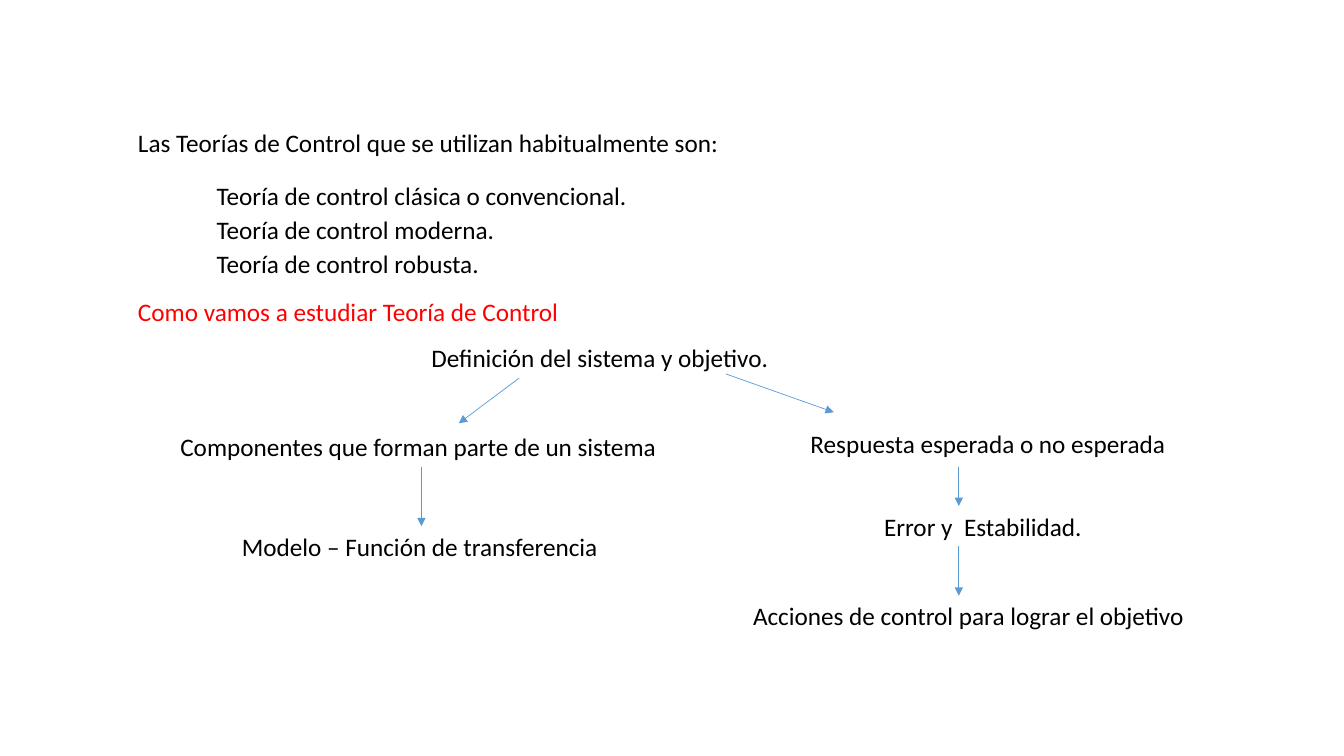
from lxml import etree
from pptx import Presentation
from pptx.dml.color import RGBColor
from pptx.enum.shapes import MSO_CONNECTOR as Connector
from pptx.oxml.ns import qn
from pptx.util import Inches, Pt

BLACK = RGBColor(0x00, 0x00, 0x00)
RED = RGBColor(0xFF, 0x00, 0x00)
BLUE = RGBColor(0x5B, 0x9B, 0xD5)
LINE_HEIGHT = 0.4


def add_statement(slide, text, left, top, width, color=BLACK):
    """Place one line of text."""
    statement = slide.shapes.add_textbox(
        Inches(left), Inches(top), Inches(width), Inches(LINE_HEIGHT))
    statement.text_frame.word_wrap = True
    paragraph = statement.text_frame.paragraphs[0]
    paragraph.text = text
    paragraph.font.name = "Calibri"
    paragraph.font.size = Pt(18)
    paragraph.font.color.rgb = color


def add_arrow(slide, start, end):
    """Draw a thin blue arrow from start to end."""
    arrow = slide.shapes.add_connector(
        Connector.STRAIGHT, *(Inches(value) for value in (*start, *end)))
    arrow.line.color.rgb = BLUE
    arrow.line.width = Pt(0.5)
    etree.SubElement(arrow.line._get_or_add_ln(), qn("a:tailEnd"), type="triangle")
    etree.SubElement(arrow._element.spPr, qn("a:effectLst"))


def add_theories(slide, left, top, width):
    """Introduce the control theories and list them indented."""
    add_statement(slide, "Las Teorías de Control que se utilizan habitualmente son:",
                  left, top, width)
    theories = ("clásica o convencional", "moderna", "robusta")
    indent, first_offset, pitch = 0.78, 0.53, 0.335
    for row, theory in enumerate(theories):
        add_statement(slide, f"Teoría de control {theory}.", left + indent,
                      top + first_offset + row * pitch, width - indent)


def add_study_plan(slide, left, top):
    """Lay out the study heading, the starting point and its two branches."""
    add_statement(slide, "Como vamos a estudiar Teoría de Control", left, top, 4.48, RED)
    steps = (
        ("Definición del sistema y objetivo.", 2.91, 0.46, 3.58),
        ("Componentes que forman parte de un sistema", 0.42, 1.34, 4.98),
        ("Modelo – Función de transferencia", 1.03, 2.33, 3.83),
        ("Respuesta esperada o no esperada", 6.67, 1.31, 3.99),
        ("Error y  Estabilidad.", 7.4, 2.13, 3.6),
        ("Acciones de control para lograr el objetivo", 6.1, 3.02, 4.68),
    )
    for text, x, y, width in steps:
        add_statement(slide, text, left + x, top + y, width)

    model_x, response_x = 2.91, 8.24
    arrows = (
        ((3.88, 0.86), (3.28, 1.31)),
        ((5.93, 0.82), (7, 1.2)),
        ((model_x, 1.74), (model_x, 2.33)),
        ((response_x, 1.74), (response_x, 2.13)),
        ((response_x, 2.53), (response_x, 3.02)),
    )
    for (start_x, start_y), (end_x, end_y) in arrows:
        add_arrow(slide, (left + start_x, top + start_y), (left + end_x, top + end_y))


def main():
    """Build and save the control theory slide."""
    presentation = Presentation()
    presentation.slide_width = Inches(13.33)
    presentation.slide_height = Inches(7.5)
    slide = presentation.slides.add_slide(presentation.slide_layouts[6])
    margin = 1.27
    add_theories(slide, margin, 1.21, 11.55)
    add_study_plan(slide, margin, 2.89)
    presentation.save("out.pptx")


main()
